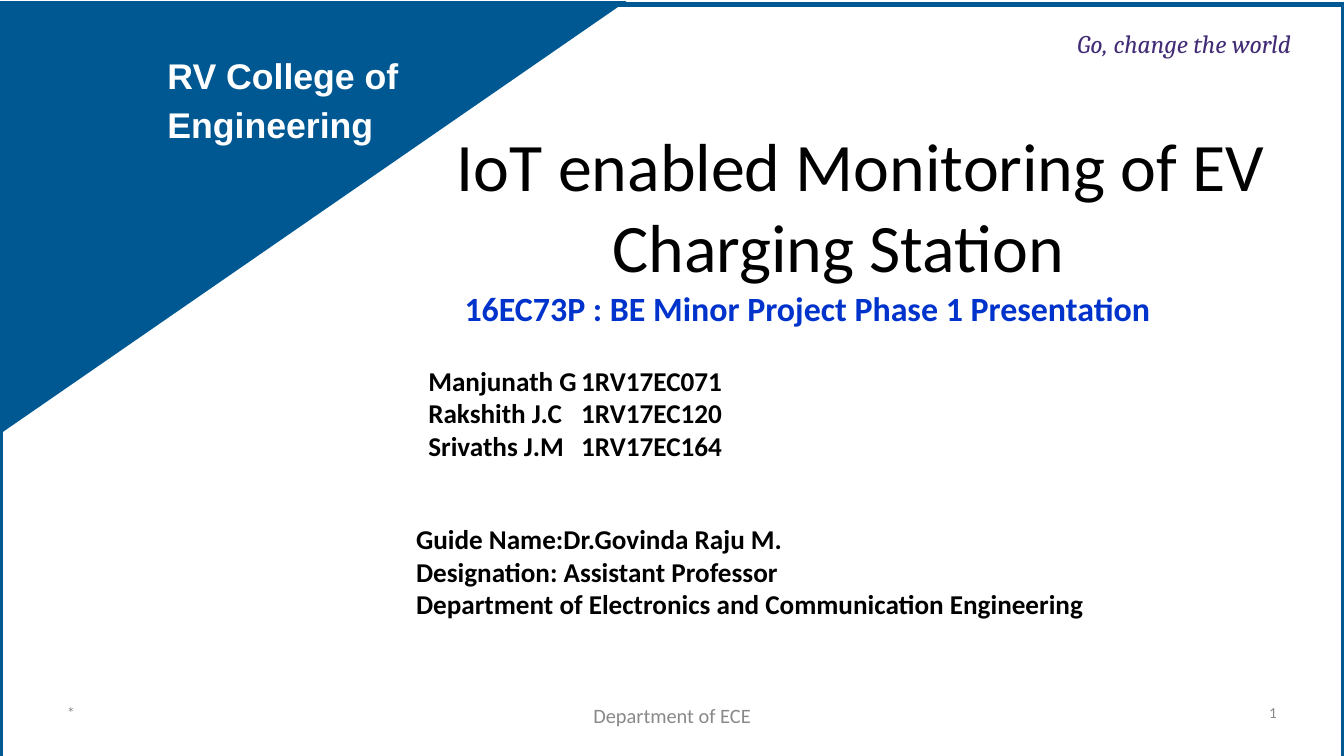
import pptx
import pptx.dml.color
import pptx.enum.shapes
import pptx.enum.text
import pptx.oxml
import pptx.oxml.ns
import pptx.util

ALIGN = pptx.enum.text.PP_ALIGN
BLUE, WHITE, BLACK, GREY = "005893", "FFFFFF", "000000", "898989"
TIGHT, ROOMY = (0, 0.01), (0.1, 0.05)


def color(value):
    return pptx.dml.color.RGBColor.from_string(value)


def write(paragraph, text, size=32, font="Calibri", fill=BLACK, bold=False,
          italic=False, align=ALIGN.LEFT, spacing=1.0, before=0, indent=0, tab=None):
    paragraph.alignment = align
    paragraph.line_spacing = spacing
    paragraph.space_before = pptx.util.Pt(before)
    properties = paragraph._p.get_or_add_pPr()
    properties.set("marL", "0")
    properties.set("indent", str(pptx.util.Inches(indent)))
    if tab:
        tab_list = pptx.oxml.parse_xml(
            f'<a:tabLst {pptx.oxml.ns.nsdecls("a")}>'
            f'<a:tab pos="{pptx.util.Inches(tab)}" algn="l"/></a:tabLst>')
        properties.append(tab_list)
    run = paragraph.add_run()
    run.text = text
    run.font.size = pptx.util.Pt(size)
    run.font.name = font
    run.font.color.rgb = color(fill)
    run.font.bold = bold
    run.font.italic = italic


class CoverSlide:
    def __init__(self, presentation):
        self.width = presentation.slide_width
        self.height = presentation.slide_height
        self.slide = presentation.slides.add_slide(presentation.slide_layouts[5])
        self.shapes = self.slide.shapes
        self.slide.background.fill.solid()
        self.slide.background.fill.fore_color.rgb = color(WHITE)

    def across(self, percent):
        return round(self.width * percent / 100)

    def down(self, percent):
        return round(self.height * percent / 100)

    def box(self, left, top, width, height):
        return self.across(left), self.down(top), self.across(width), self.down(height)

    def paint(self, shape, fill):
        shape.shadow.inherit = False
        shape.fill.solid()
        shape.fill.fore_color.rgb = color(fill)
        shape.line.fill.background()

    def frame(self, place, line, weight):
        shape = self.shapes.add_shape(
            pptx.enum.shapes.MSO_SHAPE.RECTANGLE, *self.box(*place))
        self.paint(shape, WHITE)
        shape.line.color.rgb = color(line)
        shape.line.width = pptx.util.Pt(weight)

    def polygon(self, points, fill):
        corners = [(self.across(x), self.down(y)) for x, y in points]
        builder = self.shapes.build_freeform(*corners[0])
        builder.add_line_segments(corners[1:], close=True)
        self.paint(builder.convert_to_shape(), fill)

    def fill_text(self, shape, lines, insets, style):
        frame = shape.text_frame
        frame.word_wrap = True
        frame.auto_size = pptx.enum.text.MSO_AUTO_SIZE.NONE
        frame.vertical_anchor = pptx.enum.text.MSO_ANCHOR.TOP
        side, top = insets
        frame.margin_left = frame.margin_right = pptx.util.Inches(side)
        frame.margin_top = pptx.util.Inches(top)
        frame.margin_bottom = pptx.util.Inches(top if side else 0)
        for index, line in enumerate(lines):
            paragraph = frame.add_paragraph() if index else frame.paragraphs[0]
            text, extra = line if isinstance(line, tuple) else (line, {})
            write(paragraph, text, **{**style, **extra})

    def title(self, place, text, **style):
        shape = self.shapes.title
        shape.left, shape.top, shape.width, shape.height = self.box(*place)
        shape.element.getparent().append(shape.element)
        self.fill_text(shape, [text], TIGHT, style)

    def text(self, place, *lines, insets=TIGHT, **style):
        shape = self.shapes.add_textbox(*self.box(*place))
        self.fill_text(shape, lines, insets, style)


def main():
    presentation = pptx.Presentation()
    presentation.slide_width = pptx.util.Inches(21.99)
    presentation.slide_height = pptx.util.Inches(12.37)
    cover = CoverSlide(presentation)

    cover.frame((0, 0.57, 100, 100), BLUE, 6)
    cover.title((26.88, 16.25, 70.99, 10.99),
                "IoT enabled Monitoring of EV Charging Station",
                size=80, align=ALIGN.CENTER, indent=0.75)
    cover.polygon([(46.61, 0.16), (0, 0.16), (0, 57.4)], BLUE)
    cover.text((12.46, 6.39, 18.96, 10.91),
               "RV College of", ("Engineering", {"before": 1}),
               size=42, font="Arial", fill=WHITE, bold=True, spacing=1.12)
    cover.text((80.17, 3.64, 16.92, 4.28), "Go, change the world",
               size=30, font="Cambria", fill="422C75", italic=True)
    cover.text((33.7, 37.59, 52.75, 6.63),
               "16EC73P : BE Minor Project Phase 1 Presentation",
               insets=ROOMY, size=40, fill="0033CC", bold=True, align=ALIGN.CENTER)
    cover.text((31.42, 47.78, 56.84, 16.33),
               ("Manjunath G\t1RV17EC071", {"tab": 6.02}),
               ("Rakshith J.C\t1RV17EC120", {"tab": 4.53}),
               ("Srivaths J.M\t1RV17EC164", {"tab": 4.04}),
               insets=ROOMY, bold=True)
    cover.text((30.51, 68.71, 54.75, 13.9),
               "Guide Name:Dr.Govinda Raju M.",
               "Designation: Assistant Professor",
               "Department of Electronics and Communication Engineering",
               insets=ROOMY, bold=True)

    footers = [
        (5, 23.01, 5.01, "*", 18, ALIGN.LEFT),
        (34.02, 31.97, 3.23, "Department of ECE", 24, ALIGN.CENTER),
        (71.99, 23.01, 5.01, "1", 18, ALIGN.RIGHT),
    ]
    for left, width, height, text, size, align in footers:
        cover.text((left, 92.97, width, height), text,
                   insets=(0, 0), size=size, fill=GREY, align=align)

    presentation.save("out.pptx")


if __name__ == "__main__":
    main()
